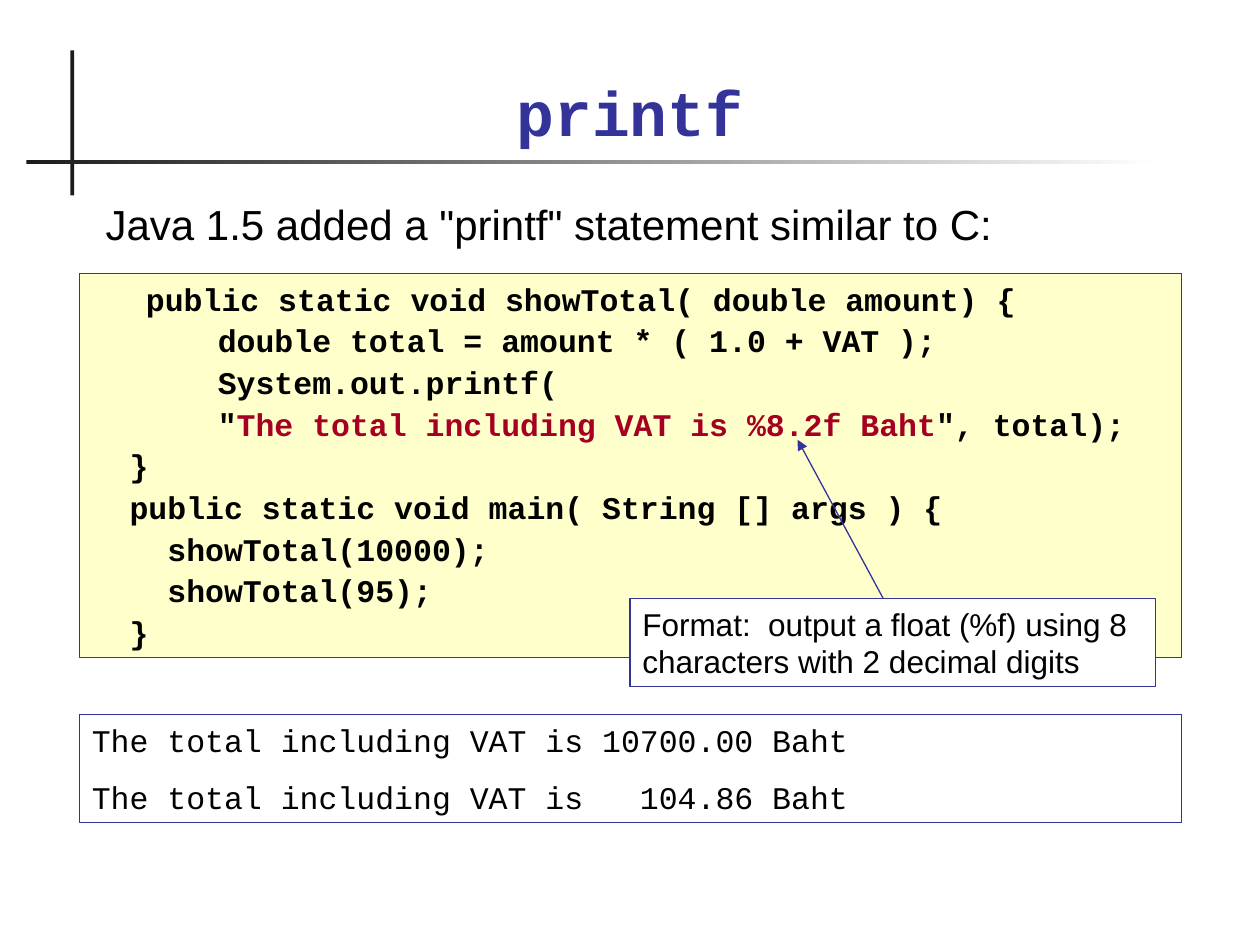
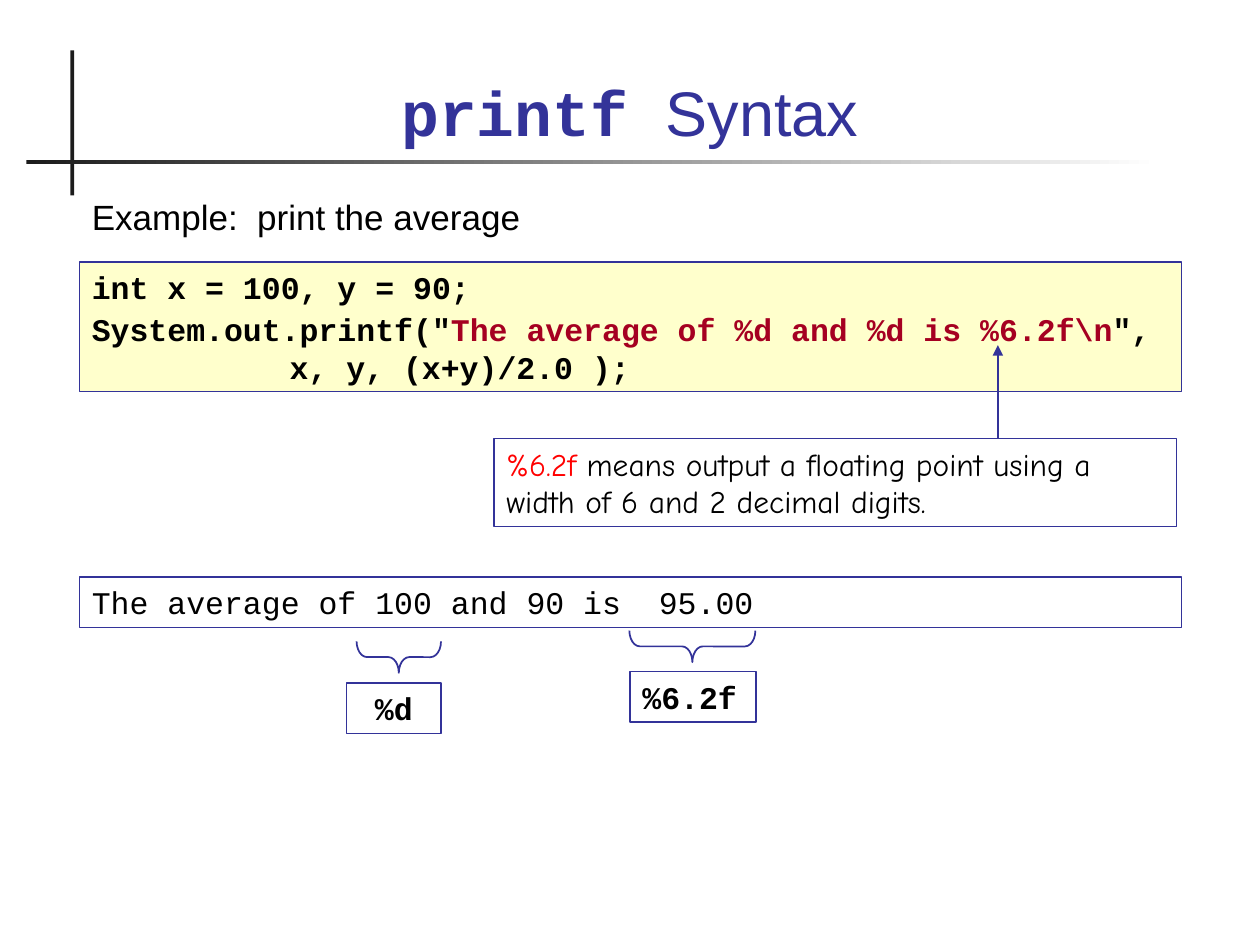
from lxml import etree
from pptx import Presentation
from pptx.dml.color import RGBColor
from pptx.enum.shapes import MSO_CONNECTOR, MSO_SHAPE
from pptx.enum.text import MSO_ANCHOR, PP_ALIGN
from pptx.oxml.ns import qn
from pptx.util import Inches, Pt

RECTANGLE, RIGHT_BRACE = MSO_SHAPE.RECTANGLE, MSO_SHAPE.RIGHT_BRACE
STRAIGHT = MSO_CONNECTOR.STRAIGHT
LEFT, CENTER = PP_ALIGN.LEFT, PP_ALIGN.CENTER
TOP, BOTTOM = MSO_ANCHOR.TOP, MSO_ANCHOR.BOTTOM

BLUE = RGBColor(0x33, 0x33, 0x99)
BLACK = RGBColor(0x00, 0x00, 0x00)
WHITE = RGBColor(0xFF, 0xFF, 0xFF)
CHARCOAL = RGBColor(0x1C, 0x1C, 0x1C)
CREAM = RGBColor(0xFF, 0xFF, 0xCC)
CRIMSON = RGBColor(0xA5, 0x00, 0x21)
RED = RGBColor(0xFF, 0x00, 0x00)

SANS, MONO, COMIC = "Arial", "Courier New", "Comic Neue"
BOX_LEFT, BOX_WIDTH = 0.63, 8.75


def add_text(slide, left, top, width, height, paragraphs, font=SANS, size=18, color=BLACK,
             bold=False, align=LEFT, anchor=TOP, fill=None, border=True):
    """Add a text box; each paragraph is (indent, space before, runs), each run (text, changes)."""
    shape = slide.shapes.add_textbox(Inches(left), Inches(top), Inches(width), Inches(height))
    if fill is not None:
        shape.fill.solid()
        shape.fill.fore_color.rgb = fill
    if border:
        shape.line.color.rgb = BLUE
        shape.line.width = Pt(0.75)
    frame = shape.text_frame
    frame.word_wrap = True
    frame.vertical_anchor = anchor
    for index, (indent, space_before, runs) in enumerate(paragraphs):
        paragraph = frame.add_paragraph() if index else frame.paragraphs[0]
        paragraph.alignment = align
        paragraph.space_before = Pt(space_before if index else 0)
        if indent:
            paragraph._p.get_or_add_pPr().set("marL", str(Inches(indent)))
        for text, changes in runs:
            run = paragraph.add_run()
            run.text = text
            run.font.name = changes.get("font", font)
            run.font.size = Pt(size)
            run.font.bold = changes.get("bold", bold)
            run.font.color.rgb = changes.get("color", color)


presentation = Presentation()
presentation.slide_width = Inches(10)
presentation.slide_height = Inches(7.5)
blank_layout = presentation.slide_layouts[6]

# Shared frame: crossed rules and title
titles = [
    [("printf", {})],
    [("printf ", {}), ("Syntax", {"font": SANS, "bold": False})],
]
for title in titles:
    slide = presentation.slides.add_slide(blank_layout)
    for left, top, width, height in [(0.56, 0.4, 0.03, 1.15), (0.21, 1.27, 8.99, 0.03)]:
        rule = slide.shapes.add_shape(RECTANGLE, Inches(left), Inches(top),
                                      Inches(width), Inches(height))
        rule.shadow.inherit = False
        rule.line.fill.background()
        if height > width:
            rule.fill.solid()
            rule.fill.fore_color.rgb = CHARCOAL
        else:
            rule.fill.gradient()
            rule.fill.gradient_angle = 0
            for stop, color in zip(rule.fill.gradient_stops, (CHARCOAL, WHITE)):
                stop.color.rgb = color
    add_text(slide, 0.67, 0.28, 8.66, 0.95, [(0, 0, title)], font=MONO, size=36, color=BLUE,
             bold=True, align=CENTER, anchor=BOTTOM, border=False)
printf_slide, syntax_slide = presentation.slides

# Slide 1: printf
add_text(printf_slide, 0.74, 1.53, 8.66, 0.64,
         [(0, 0, [('Java 1.5 added a "printf" statement similar to C:', {})])],
         size=24, border=False)
code_lines = [
    (0.43, [("public static void showTotal( double amount) {", {})]),
    (1, [("double total = amount * ( 1.0 + VAT );", {})]),
    (1, [("System.out.printf(", {})]),
    (1, [('"', {}), ("The total including VAT is %8.2f Baht", {"color": CRIMSON}),
         ('", total);', {})]),
    (0, [("  }", {})]),
    (0, [("  public static void main( String [] args ) {", {})]),
    (0, [("    showTotal(10000);", {})]),
    (0, [("    showTotal(95);", {})]),
    (0, [("  }", {})]),
]
add_text(printf_slide, BOX_LEFT, 2.17, BOX_WIDTH, 3.05,
         [(indent, 2.2, runs) for indent, runs in code_lines],
         font=MONO, bold=True, fill=CREAM)
output_lines = ["The total including VAT is 10700.00 Baht", "The total including VAT is   104.86 Baht"]
add_text(printf_slide, BOX_LEFT, 5.67, BOX_WIDTH, 0.86,
         [(0, 11.2, [(line, {})]) for line in output_lines], font=MONO)
add_text(printf_slide, 5, 4.75, 4.17, 0.7,
         [(0, 0, [("Format:  output a float (%f) using 8 characters with 2 decimal digits", {})])],
         fill=WHITE)

# Slide 2: printf syntax
add_text(syntax_slide, BOX_LEFT, 1.5, BOX_WIDTH, 0.44,
         [(0, 0, [("Example:  print the average", {})])], size=20, border=False)
add_text(syntax_slide, BOX_LEFT, 2.08, BOX_WIDTH, 1.03, [
    (0, 0, [("int x = 100, y = 90;", {})]),
    (0, 2.2, [('System.out.printf("', {}),
              ("The average of %d and %d is %6.2f\\n", {"color": CRIMSON}), ('",', {})]),
    (1.57, 0, [("x, y, (x+y)/2.0 );", {})]),
], font=MONO, bold=True, fill=CREAM)
add_text(syntax_slide, 3.92, 3.48, 5.42, 0.7, [
    (0, 0, [("%6.2f ", {"color": RED}),
            ("means output a floating point using a width of 6 and 2 decimal digits.", {})]),
], font=COMIC, fill=WHITE)
add_text(syntax_slide, BOX_LEFT, 4.58, BOX_WIDTH, 0.4,
         [(0, 0, [("The average of 100 and 90 is  95.00", {})])], font=MONO)

# Each brace is an upright one turned to open upwards
for left, top, length in [(5.37, 4.63, 1), (3.04, 4.88, 0.67)]:
    brace = syntax_slide.shapes.add_shape(RIGHT_BRACE, Inches(left), Inches(top),
                                          Inches(0.25), Inches(length))
    brace.rotation = 90
    brace.adjustments[0] = 0.33
    brace.shadow.inherit = False
    brace.fill.background()
    brace.line.color.rgb = BLUE
    brace.line.width = Pt(1)
for label, left, top, width, align in [("%6.2f", 5, 5.33, 1, LEFT), ("%d", 2.75, 5.42, 0.75, CENTER)]:
    add_text(syntax_slide, left, top, width, 0.4, [(0, 0, [(label, {})])],
             font=MONO, bold=True, align=align)

# Arrows from the notes to the format codes
for slide, start_x, start_y, end_x, end_y in [
    (printf_slide, 7.01, 4.75, 6.33, 3.49),
    (syntax_slide, 7.92, 3.48, 7.92, 2.74),
]:
    arrow = slide.shapes.add_connector(STRAIGHT, Inches(start_x), Inches(start_y),
                                       Inches(end_x), Inches(end_y))
    arrow.line.color.rgb = BLUE
    arrow.line.width = Pt(0.75)
    etree.SubElement(arrow.line._get_or_add_ln(), qn("a:tailEnd"), type="triangle")
    etree.SubElement(arrow._element.spPr, qn("a:effectLst"))

presentation.save("out.pptx")
